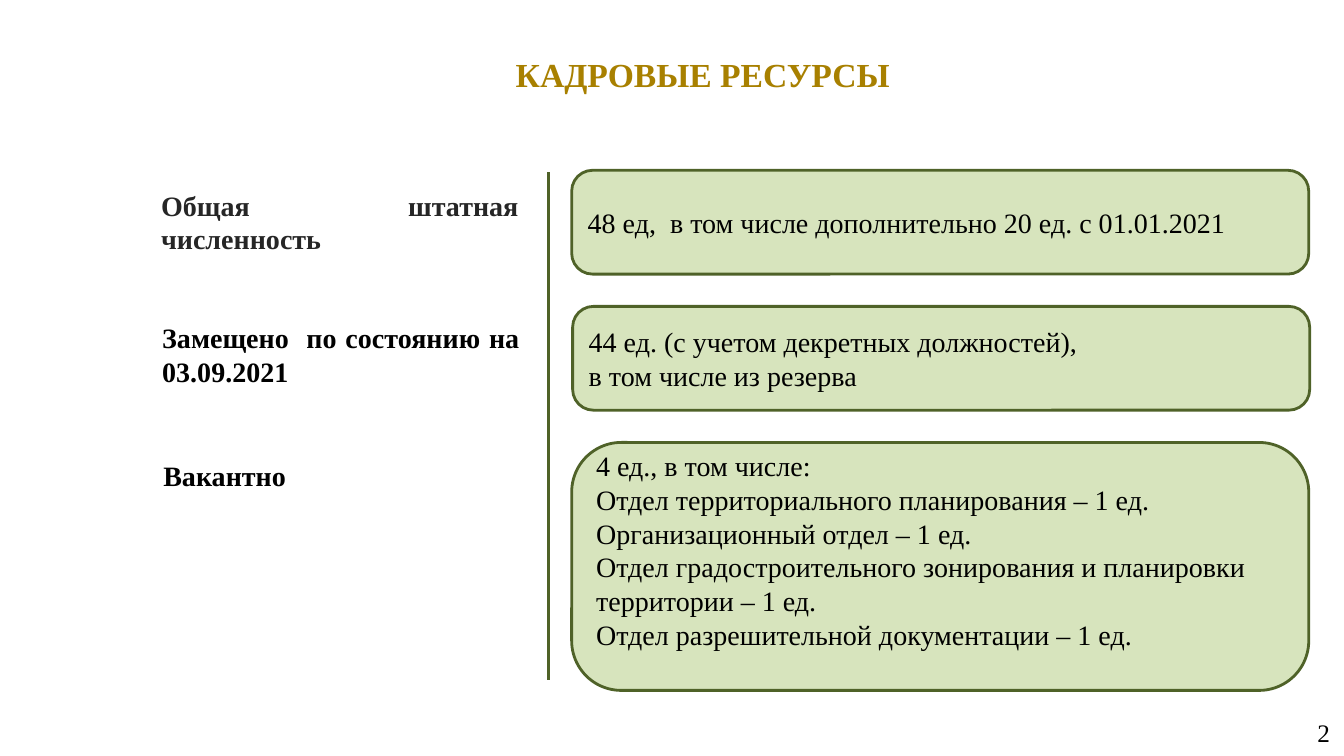
from lxml.etree import SubElement
from pptx import Presentation
from pptx.dml.color import RGBColor
from pptx.enum.shapes import MSO_CONNECTOR, MSO_SHAPE
from pptx.enum.text import MSO_ANCHOR, PP_ALIGN
from pptx.oxml.ns import qn
from pptx.util import Inches, Pt

THEME = {
    "font": "Times New Roman",
    "gold": RGBColor.from_string("A88000"),
    "charcoal": RGBColor.from_string("262626"),
    "black": RGBColor.from_string("000000"),
    "pale_green": RGBColor.from_string("D7E4BD"),
    "dark_green": RGBColor.from_string("4F6228"),
    "title": Pt(24),
    "body": Pt(20),
    "number": Pt(18),
    "line": Pt(2),
}

deck = Presentation()
deck.slide_width, deck.slide_height = Inches(13.33), Inches(7.5)
slide = deck.slides.add_slide(deck.slide_layouts[6])
COL, ROW = deck.slide_width / 100, deck.slide_height / 100


def put_text(text, left, top, width, height, card=False, size="body", color="black",
             bold=False, align=PP_ALIGN.LEFT, anchor=MSO_ANCHOR.TOP,
             inset=(0.1, 0.05), bottom=None):
    place = (int(left * COL), int(top * ROW), int(width * COL), int(height * ROW))
    if card:
        holder = slide.shapes.add_shape(MSO_SHAPE.ROUNDED_RECTANGLE, *place)
        holder.adjustments[0] = 0.2
        holder.shadow.inherit = False
        holder.fill.solid()
        holder.fill.fore_color.rgb = THEME["pale_green"]
        holder.line.color.rgb = THEME["dark_green"]
        holder.line.width = THEME["line"]
    else:
        holder = slide.shapes.add_textbox(*place)
    frame = holder.text_frame
    frame.word_wrap = True
    frame.vertical_anchor = anchor
    frame.margin_left = frame.margin_right = Inches(inset[0])
    frame.margin_top = Inches(inset[1])
    frame.margin_bottom = Inches(inset[1] if bottom is None else bottom)
    frame.text = text
    for paragraph in frame.paragraphs:
        paragraph.alignment = align
        paragraph.font.name = THEME["font"]
        paragraph.font.size = THEME[size]
        paragraph.font.bold = bold
        paragraph.font.color.rgb = THEME[color]


put_text("КАДРОВЫЕ РЕСУРСЫ", 12.38, 6.13, 79.82, 7.07, size="title", color="gold",
         bold=True, align=PP_ALIGN.CENTER, inset=(0.13, 0.07))

divider = slide.shapes.add_connector(
    MSO_CONNECTOR.STRAIGHT, int(40.81 * COL), int(22.8 * ROW), int(40.81 * COL), int(90 * ROW))
divider.line.color.rgb = THEME["dark_green"]
divider.line.width = THEME["line"]
SubElement(divider._element.spPr, qn("a:effectLst"))

staffing = [
    ("Общая штатная численность", "charcoal", 1.73, 10.13,
     "48 ед,  в том числе дополнительно 20 ед. с 01.01.2021", 42.54, 13.73, 0.05),
    ("Замещено  по состоянию на 03.09.2021", "black", 1.2, 10.13,
     "44 ед. (с учетом декретных должностей),\nв том числе из резерва", 42.61, 13.73, 0.05),
    ("Вакантно", "black", 1.47, 5.73,
     "4 ед., в том числе:\n"
     "Отдел территориального планирования – 1 ед.\n"
     "Организационный отдел – 1 ед.\n"
     "Отдел градостроительного зонирования и планировки территории – 1 ед.\n"
     "Отдел разрешительной документации – 1 ед.", 42.54, 32.8, 0.38),
]
for index, (category, color, drop, category_height,
            details, card_left, card_height, bottom) in enumerate(staffing):
    top = 22.53 + 18 * index
    put_text(category, 11.25 + 0.08 * index, top + drop, 28.06, category_height,
             color=color, bold=True, align=PP_ALIGN.JUSTIFY)
    put_text(details, card_left, top, 54.84, card_height, card=True,
             anchor=MSO_ANCHOR.MIDDLE, bottom=bottom)

put_text("2", 76.67, 94.27, 23.26, 5.2, size="number", align=PP_ALIGN.RIGHT,
         anchor=MSO_ANCHOR.MIDDLE, inset=(0.13, 0.07))

deck.save("out.pptx")
